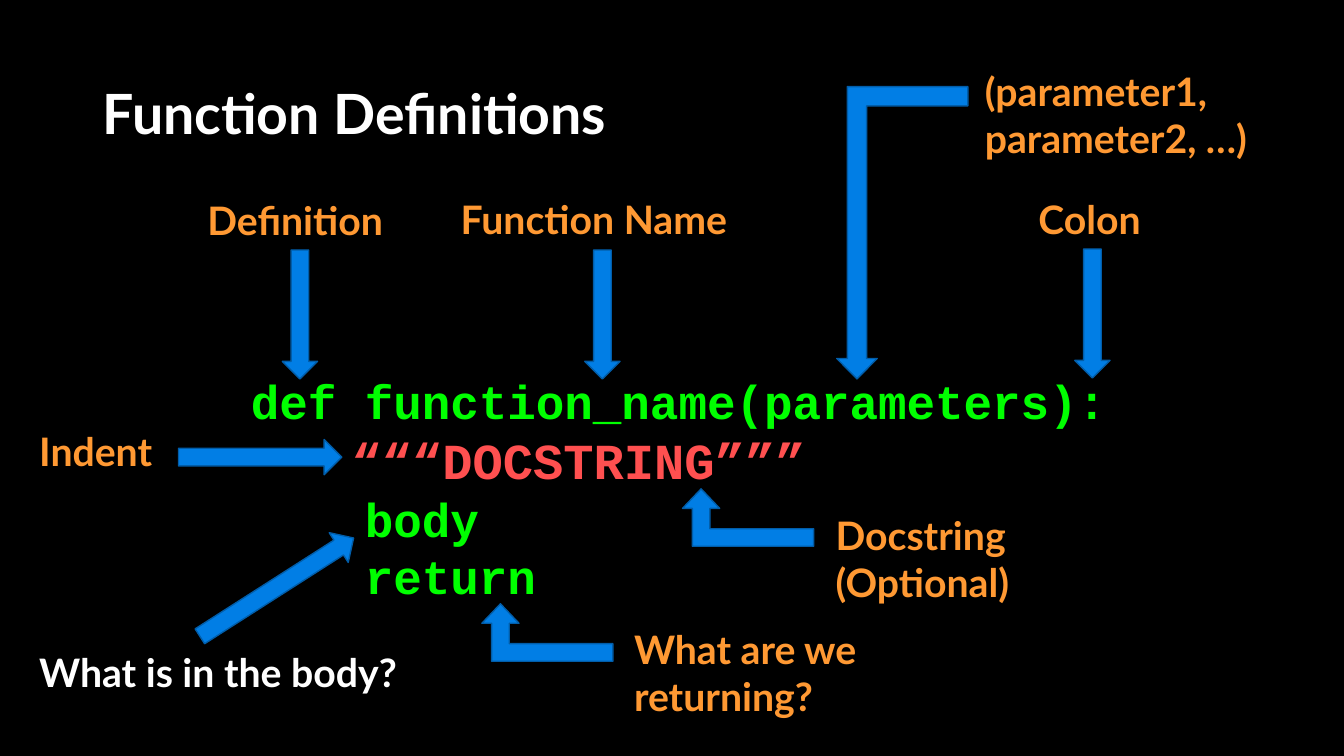
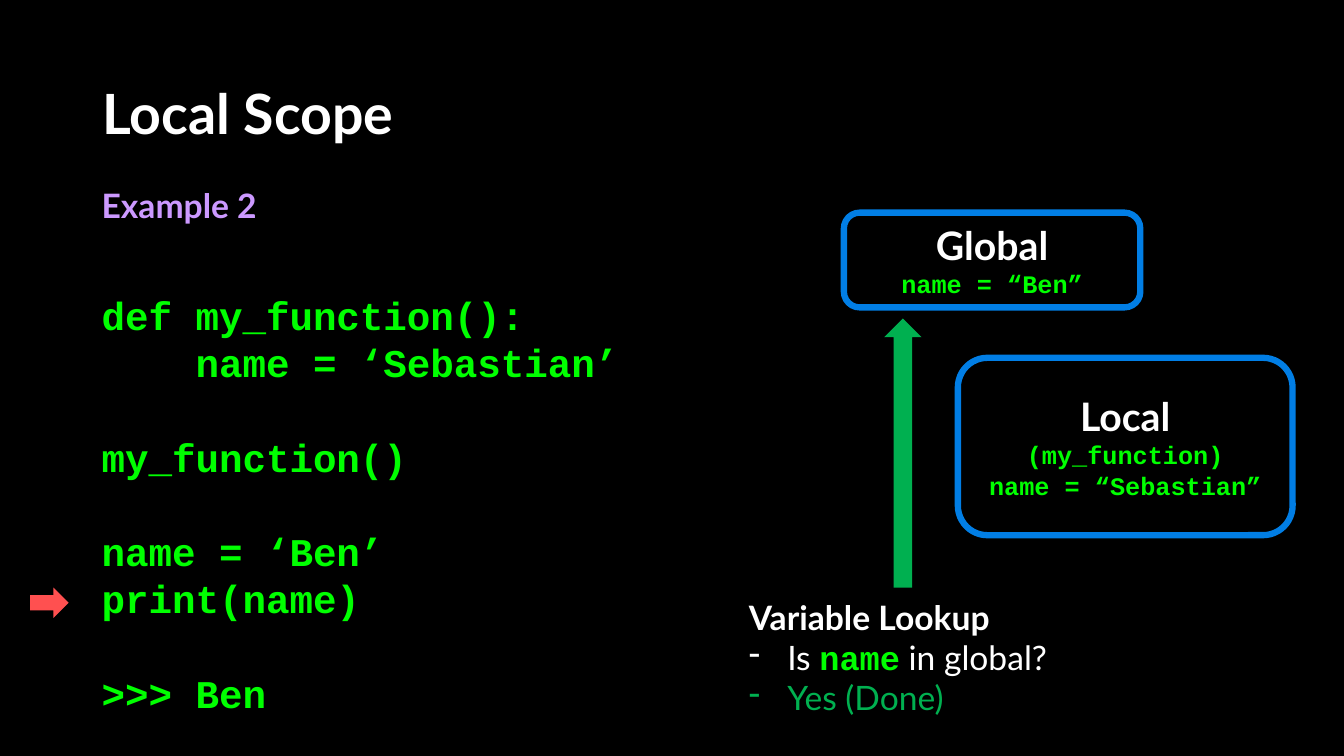
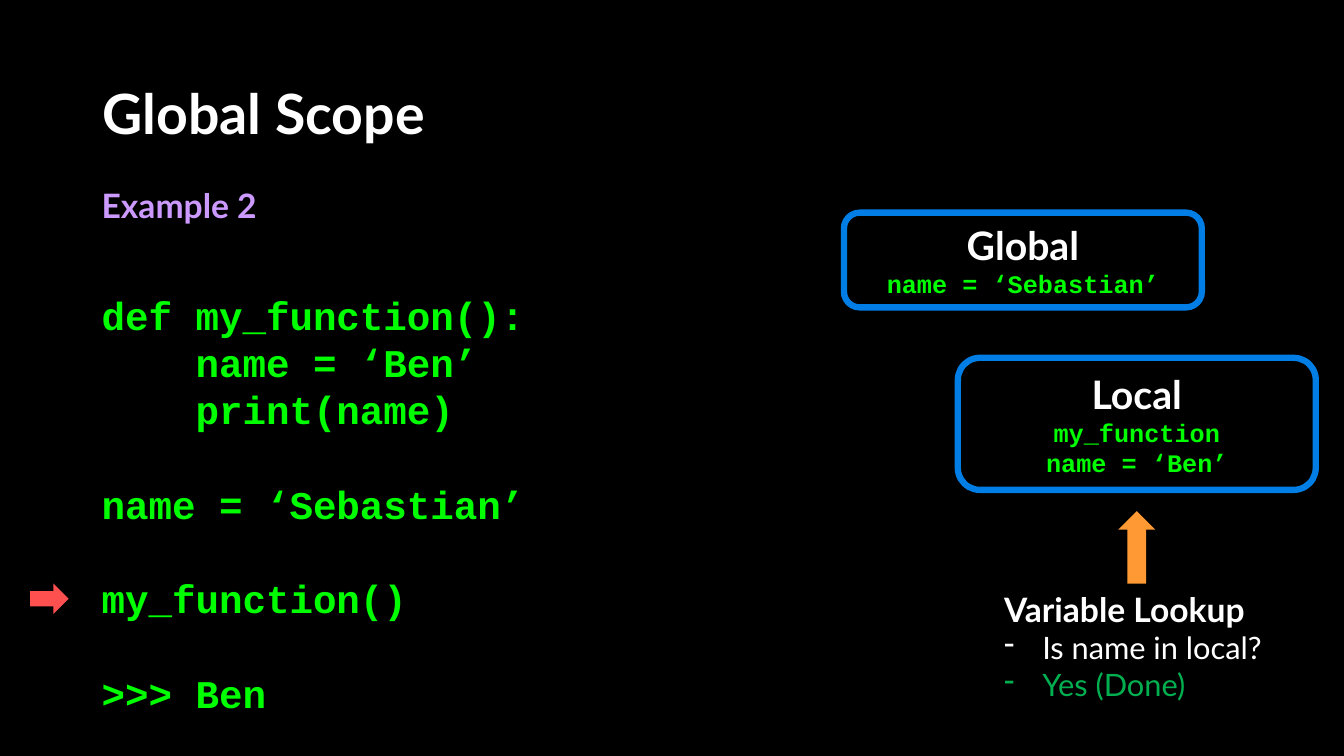
from typing import NamedTuple

from lxml import etree
from pptx import Presentation
from pptx.dml.color import RGBColor
from pptx.enum.shapes import MSO_SHAPE
from pptx.enum.text import MSO_ANCHOR, PP_ALIGN
from pptx.oxml.ns import qn
from pptx.util import Emu, Pt

PX = 9144  # 100 px to the inch
BLANK_LAYOUT = 6
RIGHT, UP, DOWN = MSO_SHAPE.RIGHT_ARROW, MSO_SHAPE.UP_ARROW, MSO_SHAPE.DOWN_ARROW
BENT, ROUNDED = MSO_SHAPE.BENT_UP_ARROW, MSO_SHAPE.ROUNDED_RECTANGLE
TOP, MIDDLE = MSO_ANCHOR.TOP, MSO_ANCHOR.MIDDLE
LEFT, CENTER = PP_ALIGN.LEFT, PP_ALIGN.CENTER

COLORS = {
    "background": "000000", "white": "FFFFFF", "code": "00FF00",
    "docstring": "FF5050", "label": "FF9933", "example": "CC99FF",
    "blue": "017EE5", "outline": "015DA9", "done": "00B050",
}
SANS, MONO = "Lato", "Courier New"
BULLET_INDENT, TAB_STOP = 38, 100
CODE_SIZE, CODE_GAP = 28, 34


class Span(NamedTuple):
    text: str
    size: float = 28
    color: str = "white"
    font: str = SANS
    bold: bool = True


def color(name):
    return RGBColor.from_string(COLORS[name])


def place(*lengths):
    return [Emu(length * PX) for length in lengths]


def code(text, size=CODE_SIZE, tint="code"):
    return Span(text, size, tint, MONO)


# Text
def add_dash(para):
    properties = para._p.get_or_add_pPr()
    properties.set("marL", str(BULLET_INDENT * PX))
    properties.set("indent", str(-BULLET_INDENT * PX))
    etree.SubElement(properties, qn("a:buFontTx"))
    etree.SubElement(properties, qn("a:buChar")).set("char", "-")


def add_tab_stop(para):
    stops = etree.SubElement(para._p.get_or_add_pPr(), qn("a:tabLst"))
    stop = etree.SubElement(stops, qn("a:tab"))
    stop.set("pos", str(TAB_STOP * PX))
    stop.set("algn", "l")


def write(frame, paragraphs, align=LEFT, anchor=TOP):
    """Write lists of spans, one list a paragraph, and return the paragraphs."""
    frame.word_wrap = True
    frame.vertical_anchor = anchor
    written = []
    for index, spans in enumerate(paragraphs):
        para = frame.add_paragraph() if index else frame.paragraphs[0]
        para.alignment = align
        for span in spans:
            run = para.add_run()
            run.text = span.text
            run.font.size = Pt(span.size)
            run.font.name = span.font
            run.font.bold = span.bold
            run.font.color.rgb = color(span.color)
        written.append(para)
    return written


def add_text(page, area, paragraphs, anchor=TOP):
    box = page.shapes.add_textbox(*place(*area))
    return write(box.text_frame, paragraphs, anchor=anchor)


def add_label(page, area, *lines, tint="label", size=28):
    add_text(page, area, [[Span(line, size, tint)] for line in lines])


def add_code(page, area, blocks):
    """Write blocks of code lines with one line of space between blocks."""
    lines = [[code(line)] for block in blocks for line in block]
    paras = add_text(page, area, lines)
    start = 0
    for block in blocks[:-1]:
        start += len(block)
        paras[start].space_before = Pt(CODE_GAP)


def add_lookup(page, area, question, size):
    heading = [Span("Variable Lookup", 24)]
    answer = [Span("Yes (Done)", size, "done", bold=False)]
    for para in add_text(page, area, [heading, question, answer])[1:]:
        add_dash(para)


# Shapes
def add_arrow(page, kind, area, fill="blue", outline=None, turn=0):
    arrow = page.shapes.add_shape(kind, *place(*area))
    arrow.shadow.inherit = False
    arrow.rotation = turn
    arrow.fill.solid()
    arrow.fill.fore_color.rgb = color(fill)
    if outline:
        arrow.line.color.rgb = color(outline)
        arrow.line.width = Pt(1)
    else:
        arrow.line.fill.background()
    return arrow


def add_bent_arrow(page, area, adjustments, flips):
    arrow = add_arrow(page, BENT, area, outline="outline")
    for index, value in enumerate(adjustments):
        arrow.adjustments[index] = value
    for flip in flips:
        arrow.element.spPr.xfrm.set(flip, "1")


def add_scope(page, area, name, *lines):
    scope = page.shapes.add_shape(ROUNDED, *place(*area))
    scope.shadow.inherit = False
    scope.fill.background()
    scope.line.color.rgb = color("blue")
    scope.line.width = Pt(4.5)
    paragraphs = [[Span(name)]] + [[code(line, 18)] for line in lines]
    write(scope.text_frame, paragraphs, CENTER, MIDDLE)


# Pages
def add_page(deck, title):
    page = deck.slides.add_slide(deck.slide_layouts[BLANK_LAYOUT])
    page.background.fill.solid()
    page.background.fill.fore_color.rgb = color("background")
    para = add_text(page, (92, 80, 1150, 72), [[Span(title, 39.6)]], MIDDLE)[0]
    para.line_spacing = 0.9
    return page


def add_example_page(deck, title, code_width, blocks, pointer_top):
    page = add_page(deck, title)
    add_label(page, (91, 179, 183, 50), "Example 2", tint="example", size=24)
    add_code(page, (91, 284, code_width, 434), blocks)
    add_arrow(page, RIGHT, (30, pointer_top, 38, 30), "docstring")
    return page


def build_definitions(deck):
    page = add_page(deck, "Function Definitions")
    code_paras = add_text(page, (239, 364, 910, 242), [
        [code("def function_name(parameters):", 34)],
        [code("\t", 34), code("“““DOCSTRING”””", 36, "docstring")],
        [code("    body", 34)],
        [code("    return", 34)],
    ])
    add_tab_stop(code_paras[1])

    # Labels
    add_label(page, (29, 419, 141, 57), "Indent")
    add_label(page, (196, 190, 206, 57), "Definition")
    add_label(page, (447, 189, 302, 57), "Function Name")
    add_label(page, (1020, 189, 128, 57), "Colon")
    add_label(page, (967, 62, 306, 104), "(parameter1,", "parameter2, …)")
    add_label(page, (819, 502, 254, 104), "Docstring (Optional)")
    add_label(page, (619, 615, 254, 104), "What are we returning?")
    add_label(page, (29, 638, 398, 57), "What is in the body?", tint="white")

    # Straight arrows
    for left, top in ((280, 248), (580, 248), (1066, 247)):
        add_arrow(page, DOWN, (left, top, 35, 128), outline="outline")
    add_arrow(page, RIGHT, (177, 436, 162, 35), outline="outline")
    add_arrow(page, RIGHT, (184, 565, 181, 35), outline="outline", turn=327.4)

    # Bent arrows
    add_bent_arrow(page, (830, 86, 130, 290), (0.147, 0.154, 0.156),
                   ("flipH", "flipV"))
    for left, top in ((478, 599), (677, 485)):
        add_bent_arrow(page, (left, top, 130, 57), (0.305, 0.323, 0.34),
                       ("flipH",))


def build_local_scope(deck):
    page = add_example_page(deck, "Local Scope", 537, [
        ["def my_function():", "    name = ‘Sebastian’"],
        ["my_function()"],
        ["name = ‘Ben’", "print(name)"],
        [">>> Ben"],
    ], 583)
    add_scope(page, (837, 211, 294, 94), "Global", "name = “Ben”")
    add_scope(page, (950, 355, 332, 176), "Local",
              "(my_function)", "name = “Sebastian”")
    question = [Span("Is ", 24, bold=False), code("name", 24),
                Span(" in global?", 24, bold=False)]
    add_lookup(page, (733, 587, 325, 131), question, 24)
    add_arrow(page, UP, (877, 316, 37, 267), "done")


def build_global_scope(deck):
    page = add_example_page(deck, "Global Scope", 467, [
        ["def my_function():", "    name = ‘Ben’", "    print(name)"],
        ["name = ‘Sebastian’"],
        ["my_function()"],
        [">>> Ben"],
    ], 579)
    add_scope(page, (837, 211, 355, 94), "Global", "name = ‘Sebastian’")
    add_scope(page, (950, 355, 355, 131), "Local",
              "my_function", "name = ‘Ben’")
    question = [Span("Is name in local?", 22, bold=False)]
    add_lookup(page, (986, 579, 283, 125), question, 22)
    add_arrow(page, UP, (1109, 507, 37, 72), "label")


def main():
    deck = Presentation()
    deck.slide_width, deck.slide_height = place(1333, 750)
    build_definitions(deck)
    build_local_scope(deck)
    build_global_scope(deck)
    deck.save("out.pptx")


if __name__ == "__main__":
    main()
